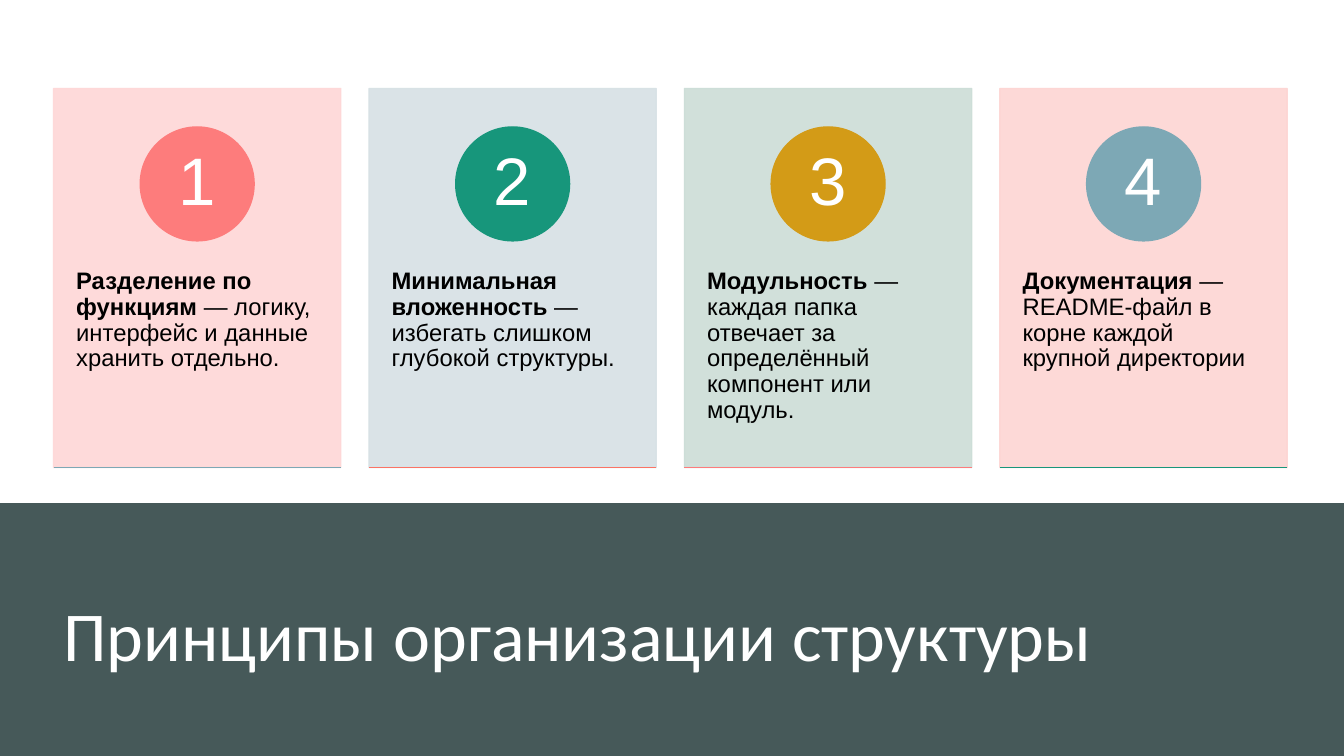
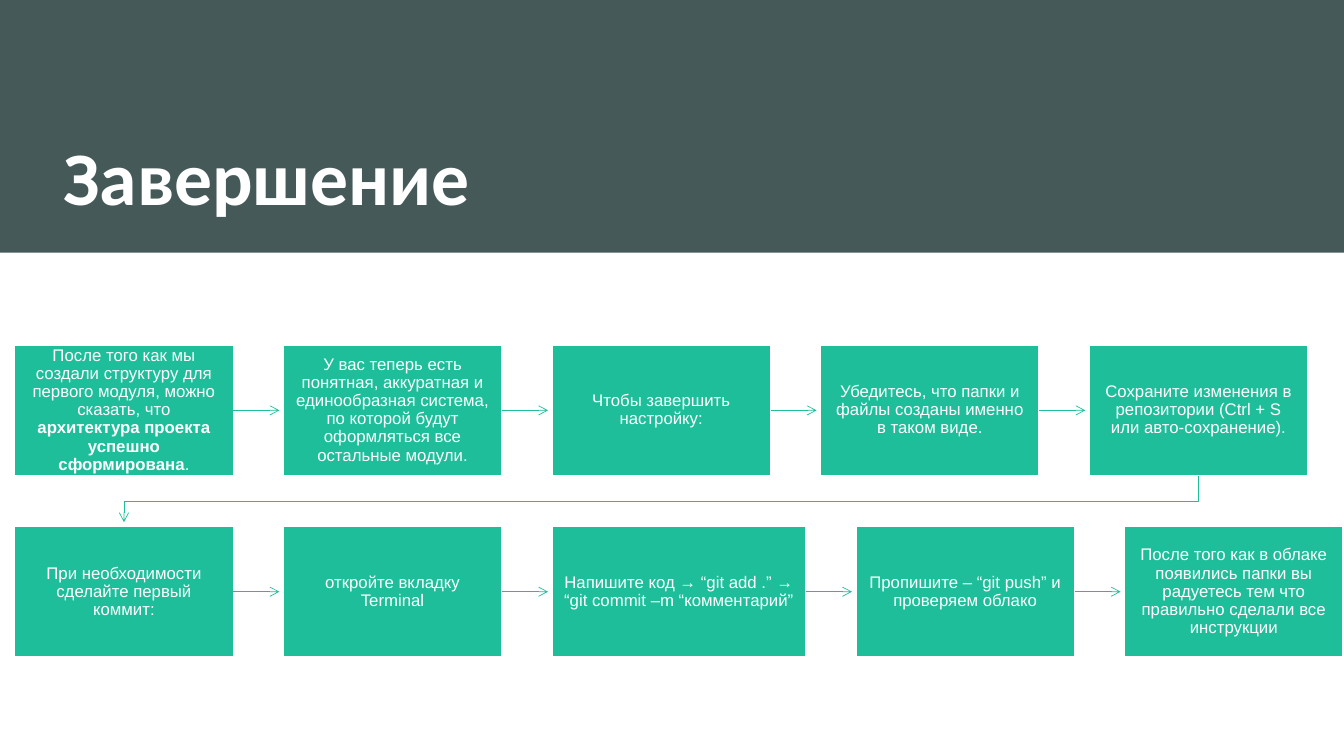
import pptx
import pptx.util
import pptx.dml.color
import pptx.enum.shapes
import pptx.enum.text
import pptx.oxml
import pptx.oxml.ns
from dataclasses import dataclass

Cm, Pt = pptx.util.Cm, pptx.util.Pt
Kind = pptx.enum.shapes.MSO_SHAPE
Link = pptx.enum.shapes.MSO_CONNECTOR
Align = pptx.enum.text.PP_ALIGN
Anchor = pptx.enum.text.MSO_ANCHOR


@dataclass(frozen=True)
class Theme:
    band: str = "465959"
    white: str = "FFFFFF"
    black: str = "000000"
    step: str = "1EBE9B"
    head: str = "Calibri"
    body: str = "Arial"
    note: int = 17
    digit: int = 48
    small: int = 12
    rule: float = 1
    thin: float = 0.5


T = Theme()

# Asterisks enclose bold words.
# text, card colour, circle colour, base line colour
CARDS = [
    ("*Разделение по функциям* — логику, интерфейс и данные хранить отдельно.",
     "FED7D7", "FD7C7C", "7DA8B5"),
    ("*Минимальная вложенность* — избегать слишком глубокой структуры.",
     "D7E1E5", "17967B", "FB7365"),
    ("*Модульность* — каждая папка отвечает за определённый компонент или модуль.",
     "CCDDD7", "D39B17", "FD7C7C"),
    ("*Документация* — README-файл в корне каждой крупной директории",
     "FDD5D3", "7DA8B5", "17967B"),
]

BOX, WIDE = 5.51, 6.4
# text, box width
STEPS = [
    [("После того как мы создали структуру для первого модуля, можно сказать, что "
      "*архитектура проекта успешно сформирована*.", BOX),
     ("У вас теперь есть понятная, аккуратная и единообразная система, по которой "
      "будут оформляться все остальные модули.", BOX),
     ("Чтобы завершить настройку:", BOX),
     ("Убедитесь, что папки и файлы созданы именно в таком виде.", BOX),
     ("Сохраните изменения в репозитории (Ctrl + S или авто-сохранение).", BOX)],
    [("При необходимости сделайте первый коммит:", BOX),
     ("откройте вкладку Terminal", BOX),
     ("Напишите код → “git add .” → “git commit –m “комментарий”", WIDE),
     ("Пропишите – “git push” и проверяем облако", BOX),
     ("После того как в облаке появились папки вы радуетесь тем что правильно "
      "сделали все инструкции", BOX)],
]


def rgb(code):
    return pptx.dml.color.RGBColor.from_string(code)


def put(shape, text, font=T.body, size=T.small, color=T.white, bold=False,
        align=Align.CENTER, anchor=Anchor.MIDDLE, pad=(0, 0, 0, 0), space=0.9):
    """Write text with *bold* parts; pad is left, top, right, bottom in cm."""
    frame = shape.text_frame
    frame.word_wrap = True
    frame.auto_size = pptx.enum.text.MSO_AUTO_SIZE.NONE
    frame.vertical_anchor = anchor
    (frame.margin_left, frame.margin_top,
     frame.margin_right, frame.margin_bottom) = map(Cm, pad)
    para = frame.paragraphs[0]
    para.alignment = align
    para.line_spacing = space
    for i, part in enumerate(text.split("*")):
        if part:
            run = para.add_run()
            run.text = part
            run.font.name = font
            run.font.size = Pt(size)
            run.font.bold = bold or i % 2 == 1
            run.font.color.rgb = rgb(color)


def draw(slide, kind, at, fill, line=None):
    shape = slide.shapes.add_shape(kind, *map(Cm, at))
    shape.shadow.inherit = False
    shape.fill.solid()
    shape.fill.fore_color.rgb = rgb(fill)
    if line:
        shape.line.color.rgb = rgb(line)
        shape.line.width = Pt(T.rule)
    else:
        shape.line.fill.background()
    return shape


def fade(shape, pct):
    """Set the opacity of fill and line."""
    for node in shape.element.spPr.iter(pptx.oxml.ns.qn("a:srgbClr")):
        alpha = pptx.oxml.parse_xml(
            f'<a:alpha {pptx.oxml.ns.nsdecls("a")} val="{pct * 1000}"/>')
        node.append(alpha)


def stroke(shape, color, width, arrow=False):
    shape.line.color.rgb = rgb(color)
    shape.line.width = Pt(width)
    decl = pptx.oxml.ns.nsdecls("a")
    if arrow:
        shape.line._get_or_add_ln().append(
            pptx.oxml.parse_xml(f'<a:tailEnd {decl} type="arrow"/>'))


def wire(slide, start, end, color, width, arrow=False):
    line = slide.shapes.add_connector(Link.STRAIGHT, *map(Cm, start + end))
    stroke(line, color, width, arrow)
    decl = pptx.oxml.ns.nsdecls("a")
    line.element.spPr.append(pptx.oxml.parse_xml(f"<a:effectLst {decl}/>"))
    return line


def start(deck, text, band, top, high, size, bold=False):
    """Add a slide with its title lying on a dark band."""
    slide = deck.slides.add_slide(deck.slide_layouts[5])
    title = slide.shapes.title
    title.left, title.top = Cm(1.35), Cm(top)
    title.width, title.height = Cm(30.2), Cm(high)
    put(title, text, font=T.head, size=size, bold=bold, align=Align.LEFT,
        anchor=Anchor.BOTTOM, pad=(0.25, 0.13, 0.25, 0.13))
    back = draw(slide, Kind.RECTANGLE, (0, band, 33.87, 6.37), T.band)
    title.element.addprevious(back.element)
    return slide


def rules(deck):
    slide = start(deck, "Принципы организации структуры", 12.68, 13.69, 3.48, 50)
    left, top, wide, high, pitch, disc = 1.35, 2.23, 7.24, 9.55, 7.95, 2.87
    for i, (text, fill, mark, base) in enumerate(CARDS):
        x = left + i * pitch
        card = draw(slide, Kind.RECTANGLE, (x, top, wide, high), fill, fill)
        fade(card, 90)
        put(card, text, size=T.note, color=T.black, align=Align.LEFT,
            anchor=Anchor.TOP, pad=(0.57, 4.55, 0.57, 0.9))
        ball = draw(slide, Kind.OVAL,
                    (x + (wide - disc) / 2, 3.2, disc, disc), mark, mark)
        put(ball, str(i + 1), size=T.digit)
        wire(slide, (x, top + high), (x + wide, top + high), base, T.rule)


def flow(deck):
    slide = start(deck, "Завершение", 0, 1.02, 4.7, 54, bold=True)
    left, top, high, gap, pitch, stop = 0.37, 8.69, 3.3, 1.26, 4.57, 0.1
    for i, row in enumerate(STEPS):
        x, y = left, top + i * pitch
        for j, (text, wide) in enumerate(row):
            box = draw(slide, Kind.RECTANGLE, (x, y, wide, high), T.step, T.white)
            put(box, text, pad=(0.28,) * 4)
            x += wide
            if j < len(row) - 1:
                mid = y + high / 2
                line = wire(slide, (x, mid), (x + gap - stop, mid),
                            T.step, T.thin, arrow=True)
                line.begin_connect(box, 3)
                x += gap

    first = left + BOX / 2
    last = first + 4 * (BOX + gap)
    low, turn = top + high, top + high + 0.64
    path = [(last, low), (last, turn), (first, turn), (first, top + pitch - stop)]
    points = [(Cm(x), Cm(y)) for x, y in path]
    pen = slide.shapes.build_freeform(*points[0])
    pen.add_line_segments(points[1:], close=False)
    bend = pen.convert_to_shape()
    bend.shadow.inherit = False
    bend.fill.background()
    stroke(bend, T.step, T.thin, arrow=True)


def main():
    deck = pptx.Presentation()
    deck.slide_width, deck.slide_height = Cm(33.87), Cm(19.05)
    rules(deck)
    flow(deck)
    deck.save("out.pptx")


if __name__ == "__main__":
    main()
